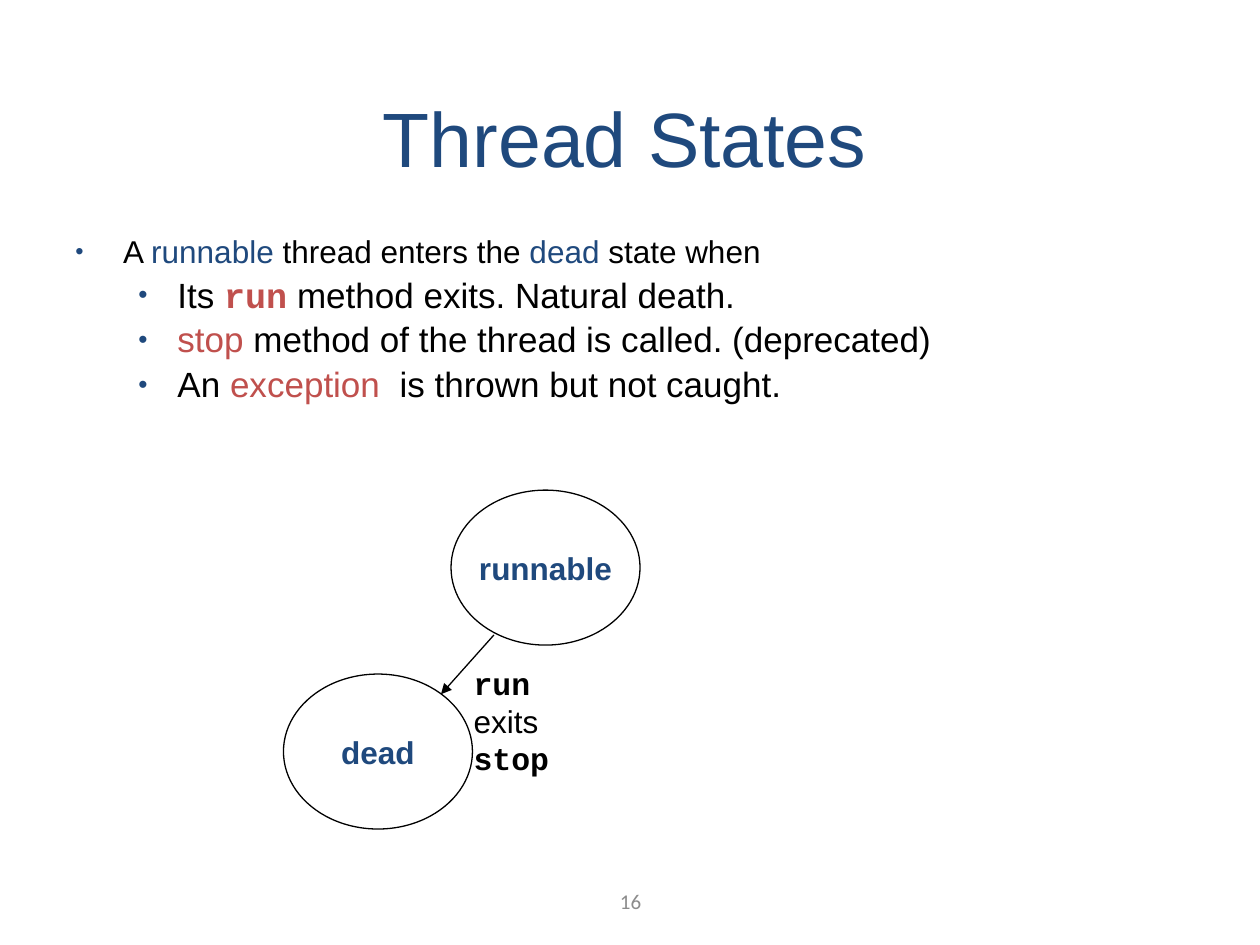
import pptx
import pptx.util
import pptx.dml.color
import pptx.enum.shapes
import pptx.enum.text
import pptx.oxml
import pptx.oxml.ns
import lxml.etree
from dataclasses import dataclass

Inches = pptx.util.Inches
Pt = pptx.util.Pt
Align = pptx.enum.text.PP_ALIGN
Anchor = pptx.enum.text.MSO_ANCHOR


@dataclass(frozen=True)
class Theme:
    sans: str = "Arial"
    mono: str = "Courier New"
    footer_font: str = "Calibri"
    navy: str = "1F497D"
    red: str = "C0504D"
    black: str = "000000"
    grey: str = "8C8C8C"
    title: int = 44
    detail: int = 20
    body: int = 18
    footer: int = 12
    line: float = 0.75


THEME = Theme()
RUNNABLE = {"color": THEME.navy}
ALERT = {"color": THEME.red}
CODE = {"name": THEME.mono, "bold": True}


def style_font(font, name=None, size=None, color=None, bold=None):
    if name:
        font.name = name
    if size:
        font.size = Pt(size)
    if color:
        font.color.rgb = pptx.dml.color.RGBColor.from_string(color)
    if bold is not None:
        font.bold = bold


def add_element(parent, tag, **attributes):
    element = lxml.etree.SubElement(parent, pptx.oxml.ns.qn(tag))
    for key, value in attributes.items():
        element.set(key, value)
    return element


def write_paragraph(paragraph, pieces, size=THEME.body, name=THEME.sans,
                    color=THEME.black, bold=None, align=Align.LEFT):
    """Each piece is a text and the font settings that differ from the paragraph's."""
    paragraph.alignment = align
    style_font(paragraph.font, name, size, color, bold)
    for text, changes in pieces:
        run = paragraph.add_run()
        run.text = text
        style_font(run.font, **changes)


def add_text_box(slide, box, anchor=Anchor.TOP, wrap=True):
    frame = slide.shapes.add_textbox(*map(Inches, box)).text_frame
    frame.word_wrap = wrap
    frame.vertical_anchor = anchor
    return frame


def add_line_of_text(slide, box, text, anchor, **font):
    frame = add_text_box(slide, box, anchor)
    write_paragraph(frame.paragraphs[0], [(text, {})], align=Align.CENTER, **font)


def format_bullet(paragraph, size, level):
    margin, hanging = ((0.38, 0.38), (0.81, 0.31))[level]
    paragraph.level = level
    paragraph.line_spacing = 0.9
    paragraph.space_before = Pt(0.2 * size)
    properties = paragraph._p.get_or_add_pPr()
    properties.set("marL", str(Inches(margin)))
    properties.set("indent", str(-Inches(hanging)))
    bullet_color = add_element(properties, "a:buClr")
    add_element(bullet_color, "a:srgbClr", val=THEME.navy)
    add_element(properties, "a:buSzPct", val="75000")
    add_element(properties, "a:buFont", typeface=THEME.sans)
    add_element(properties, "a:buChar", char="•")


def add_bullets(slide, box, bullets):
    frame = add_text_box(slide, box)
    for index, (level, pieces) in enumerate(bullets):
        paragraph = frame.add_paragraph() if index else frame.paragraphs[0]
        size = THEME.detail if level else THEME.body
        format_bullet(paragraph, size, level)
        write_paragraph(paragraph, pieces, size)


def add_state(slide, left, top, width, height, name):
    state = slide.shapes.add_shape(
        pptx.enum.shapes.MSO_SHAPE.OVAL, *map(Inches, (left, top, width, height)))
    state.shadow.inherit = False
    state.fill.background()
    state.line.color.rgb = pptx.dml.color.RGBColor.from_string(THEME.black)
    state.line.width = Pt(THEME.line)
    frame = state.text_frame
    frame.word_wrap = False
    frame.vertical_anchor = Anchor.MIDDLE
    write_paragraph(frame.paragraphs[0], [(name, {})], color=THEME.navy,
                    bold=True, align=Align.CENTER)


def add_arrow(slide, start, end):
    arrow = slide.shapes.add_connector(
        pptx.enum.shapes.MSO_CONNECTOR.STRAIGHT, *map(Inches, start + end))
    arrow.line.color.rgb = pptx.dml.color.RGBColor.from_string(THEME.black)
    arrow.line.width = Pt(THEME.line)
    add_element(arrow.line._get_or_add_ln(), "a:tailEnd", type="triangle")
    add_element(arrow._element.spPr, "a:effectLst")


def add_state_diagram(slide, left, top):
    """Two states, with the transition from the upper to the lower one."""
    width, height = 1.5, 1.23
    add_state(slide, left, top + 1.46, width, height, "dead")
    add_arrow(slide, (left + 1.67, top + 1.15), (left + 1.25, top + 1.62))
    add_state(slide, left + 1.33, top, width, height, "runnable")
    # Causes of the transition
    label = add_text_box(slide, (left + 1.41, top + 1.33, 1.31, 0.7), wrap=False)
    label.auto_size = pptx.enum.text.MSO_AUTO_SIZE.SHAPE_TO_FIT_TEXT
    write_paragraph(label.paragraphs[0], [("run ", CODE), ("exits", {})])
    write_paragraph(label.add_paragraph(), [("stop", {})], **CODE)


def build_slide(presentation):
    slide = presentation.slides.add_slide(presentation.slide_layouts[6])
    # Page number and title
    add_line_of_text(slide, (3.42, 6.95, 3.17, 0.4), "16", Anchor.MIDDLE,
                     name=THEME.footer_font, size=THEME.footer, color=THEME.grey)
    add_line_of_text(slide, (0.67, 0.25, 8.58, 1.25), "Thread States", Anchor.BOTTOM,
                     size=THEME.title, color=THEME.navy)
    # Ways to reach the dead state
    add_bullets(slide, (0.5, 1.83, 9, 5.33), [
        (0, [("A ", {}), ("runnable ", RUNNABLE), ("thread enters the ", {}),
             ("dead ", RUNNABLE), ("state when", {})]),
        (1, [("Its ", {}), ("run", {**CODE, **ALERT}),
             (" method exits. Natural death.", {})]),
        (1, [("stop", ALERT), (" method of the thread is called. (deprecated)", {})]),
        (1, [("An ", {}), ("exception", ALERT), ("  is thrown but not caught.", {})]),
    ])
    # State diagram
    add_state_diagram(slide, 2.25, 3.89)


presentation = pptx.Presentation()
presentation.slide_width = Inches(10)
presentation.slide_height = Inches(7.5)
build_slide(presentation)
presentation.save("out.pptx")
